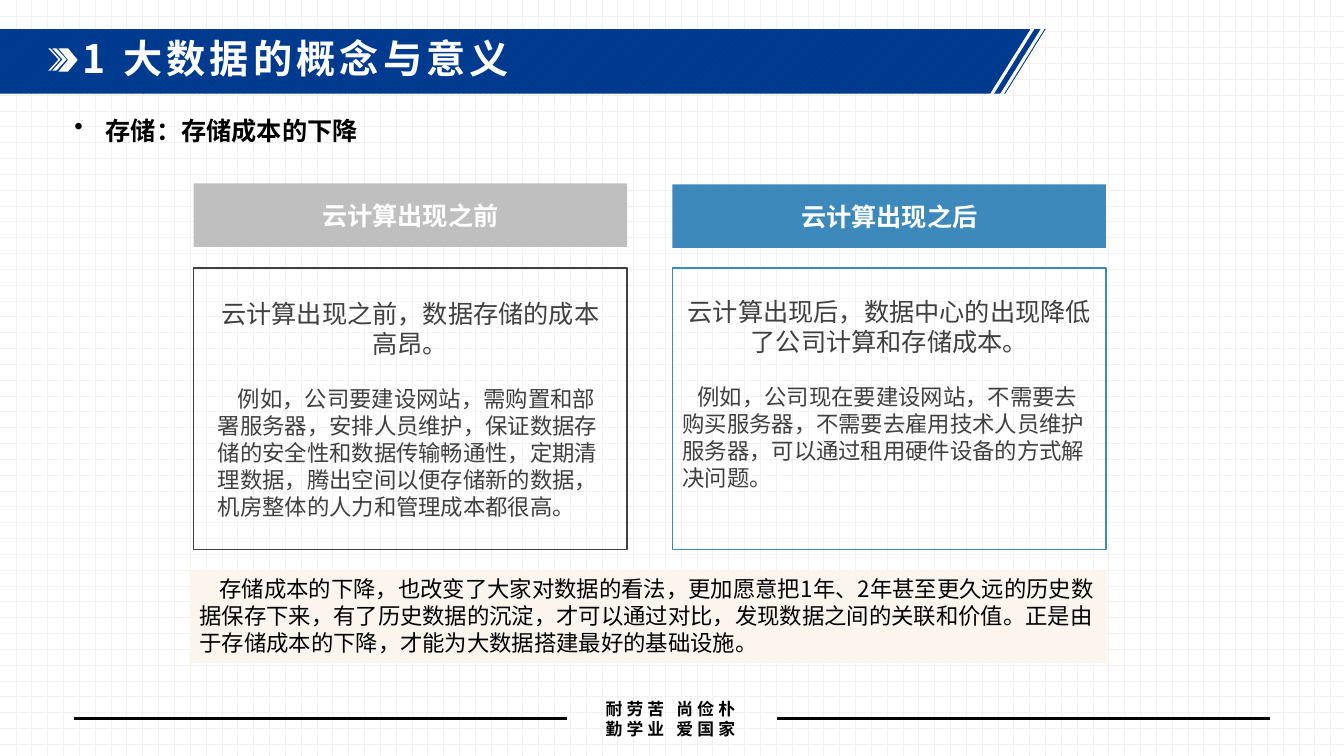
import dataclasses
import typing

import pptx
import pptx.dml.color
import pptx.enum.dml
import pptx.enum.shapes
import pptx.enum.text
import pptx.oxml
import pptx.oxml.ns
import pptx.util

Inches = pptx.util.Inches
Pt = pptx.util.Pt
Align = pptx.enum.text.PP_ALIGN
Anchor = pptx.enum.text.MSO_ANCHOR
Pattern = pptx.enum.dml.MSO_PATTERN
Kind = pptx.enum.shapes.MSO_SHAPE
Box = tuple[float, float, float, float]
Point = tuple[float, float]


@dataclasses.dataclass(frozen=True)
class Theme:
    font: str = "Noto Sans CJK SC"
    latin: str = "TeX Gyre Adventor"
    black: str = "000000"
    white: str = "FFFFFF"
    dark: str = "404040"
    gray: str = "BFBFBF"
    blue: str = "3D89BC"
    navy: str = "003A8F"
    stripe: str = "00449A"
    grid: str = "F2F2F2"
    cream: str = "FCF5ED"
    title: int = 28
    head: int = 18
    body: int = 16
    motto: int = 12


THEME = Theme()


@dataclasses.dataclass(frozen=True)
class Para:
    text: str
    size: int
    color: str
    bold: bool = False
    align: Align = Align.LEFT
    indent: float = 0
    before: int = 0
    track: int = 0
    bullet: bool = False
    latin: str = THEME.font


@dataclasses.dataclass(frozen=True)
class Card:
    left: float
    top: float
    fill: str
    line: str
    head: str
    lead: str
    detail: str
    side: float
    inset: float
    indent: float


CARDS = [
    Card(1.92, 1.82, THEME.gray, THEME.dark, "云计算出现之前",
         "云计算出现之前，数据存储的成本高昂。",
         "例如，公司要建设网站，需购置和部署服务器，安排人员维护，保证数据存储的安全性和数据传输畅通性，"
         "定期清理数据，腾出空间以便存储新的数据，机房整体的人力和管理成本都很高。", 0.24, 0.3, 0.2),
    Card(6.67, 1.83, THEME.blue, THEME.blue, "云计算出现之后",
         "云计算出现后，数据中心的出现降低了公司计算和存储成本。",
         "例如，公司现在要建设网站，不需要去购买服务器，不需要去雇用技术人员维护服务器，"
         "可以通过租用硬件设备的方式解决问题。", 0.1, 0.28, 0.15),
]


def rgb(color: str) -> pptx.dml.color.RGBColor:
    return pptx.dml.color.RGBColor.from_string(color)


def hatch(fill: typing.Any, kind: Pattern, fore: str, back: str) -> None:
    fill.patterned()
    fill.pattern = kind
    fill.fore_color.rgb = rgb(fore)
    fill.back_color.rgb = rgb(back)


def paint(shape: typing.Any, fill: str | None = None, line: str | None = None) -> None:
    shape.shadow.inherit = False
    if fill:
        shape.fill.solid()
        shape.fill.fore_color.rgb = rgb(fill)
    else:
        shape.fill.background()
    if line:
        shape.line.color.rgb = rgb(line)
        shape.line.width = Pt(1)
    else:
        shape.line.fill.background()


def write(shape: typing.Any, paras: list[Para], anchor: Anchor = Anchor.TOP,
          side: float = 0.1, top: float = 0.05, wrap: bool = True) -> None:
    frame = shape.text_frame
    frame.auto_size = pptx.enum.text.MSO_AUTO_SIZE.NONE
    frame.word_wrap = wrap
    frame.vertical_anchor = anchor
    frame.margin_left = frame.margin_right = Inches(side)
    frame.margin_top = Inches(top)
    frame.margin_bottom = Inches(0.05)
    frame.text = "\n".join(para.text for para in paras)
    for item, para in zip(frame.paragraphs, paras):
        item.alignment = para.align
        item.space_before = Pt(para.before)
        props = item._p.get_or_add_pPr()
        if para.indent:
            props.set("indent", str(Inches(para.indent)))
        if para.bullet:
            props.set("marL", str(Inches(-para.indent)))
            mark = pptx.oxml.parse_xml(
                f'<a:buChar {pptx.oxml.ns.nsdecls("a")} char="•"/>')
            props.append(mark)
        for run in item.runs:
            font = run.font
            font.size = Pt(para.size)
            font.bold = para.bold
            font.color.rgb = rgb(para.color)
            font.name = para.latin
            style = run._r.get_or_add_rPr()
            style.append(pptx.oxml.parse_xml(
                f'<a:ea {pptx.oxml.ns.nsdecls("a")} typeface="{THEME.font}"/>'))
            if para.track:
                style.set("spc", str(para.track * 100))


def block(slide: typing.Any, box: Box, fill: str | None = None,
          line: str | None = None, kind: Kind = Kind.RECTANGLE) -> typing.Any:
    shape = slide.shapes.add_shape(kind, *map(Inches, box))
    paint(shape, fill, line)
    return shape


def label(slide: typing.Any, box: Box) -> typing.Any:
    return slide.shapes.add_textbox(*map(Inches, box))


def trace(slide: typing.Any, loops: list[list[Point]]) -> typing.Any:
    loops = [[(Inches(x), Inches(y)) for x, y in loop] for loop in loops]
    pen = slide.shapes.build_freeform(*loops[0][0], scale=1.0)
    for loop in loops:
        if loop is not loops[0]:
            pen.move_to(*loop[0])
        pen.add_line_segments(loop[1:], close=True)
    return pen.convert_to_shape()


def banner(slide: typing.Any) -> None:
    top, base, slant = 0.29, 0.93, 0.4
    bands = [[(left, top), (right, top), (right - slant, base), (left - slant, base)]
             for left, right in ((10.36, 10.37), (10.26, 10.32))]
    bands.append([(0, top), (10.22, top), (9.82, base), (0, base)])
    shape = trace(slide, bands)
    paint(shape)
    hatch(shape.fill, Pattern.WIDE_UPWARD_DIAGONAL, THEME.stripe, THEME.navy)

    block(slide, (0.58, 0.48, 0.19, 0.23), THEME.white, kind=Kind.CHEVRON)
    for left, thick in ((0.52, 0.04), (0.48, 0.02)):
        tip = left + 0.1
        mark = trace(slide, [[(left, 0.48), (left + thick, 0.48), (tip + thick, 0.59),
                              (left + thick, 0.7), (left, 0.7), (tip, 0.59)]])
        paint(mark, THEME.white)


def footer(slide: typing.Any) -> None:
    motto = [Para(text, THEME.motto, THEME.black, True, Align.CENTER, track=3)
             for text in ("耐劳苦 尚俭朴", "勤学业 爱国家")]
    write(label(slide, (5.61, 6.88, 2.08, 0.5)), motto, Anchor.MIDDLE)
    for start, end in ((0.73, 5.62), (7.71, 12.6)):
        rule = slide.shapes.add_connector(
            pptx.enum.shapes.MSO_CONNECTOR.STRAIGHT,
            Inches(start), Inches(7.13), Inches(end), Inches(7.13))
        rule.line.color.rgb = rgb(THEME.black)
        rule.line.width = Pt(2)
        rule._element.spPr.append(pptx.oxml.parse_xml(
            f'<a:effectLst {pptx.oxml.ns.nsdecls("a")}/>'))


def heading(slide: typing.Any) -> None:
    title = slide.shapes.title
    slide.shapes._spTree.append(title._element)
    title.left, title.top, title.width, title.height = map(Inches, (0.72, 0.34, 8.31, 0.56))
    write(title, [Para("1 大数据的概念与意义", THEME.title, THEME.white, True, track=3)])
    title.text_frame.paragraphs[0].line_spacing = 0.9
    write(label(slide, (0.64, 1.09, 3.04, 0.4)),
          [Para("存储：存储成本的下降", THEME.head, THEME.black, True,
                indent=-0.31, bullet=True, latin=THEME.latin)], wrap=False)


def draw(slide: typing.Any, card: Card) -> None:
    head = block(slide, (card.left, card.top, 4.3, 0.63), card.fill)
    write(head, [Para(card.head, THEME.head, THEME.white, True, Align.CENTER)], Anchor.MIDDLE)
    body = block(slide, (card.left, 2.66, 4.3, 2.79), line=card.line)
    write(body, [Para(card.lead, THEME.head, THEME.dark, align=Align.CENTER),
                 Para(card.detail, THEME.body, THEME.dark, indent=card.indent, before=19)],
          side=card.side, top=card.inset)


def main() -> None:
    deck = pptx.Presentation()
    deck.slide_width, deck.slide_height = Inches(13.33), Inches(7.5)
    slide = deck.slides.add_slide(deck.slide_layouts[5])
    hatch(slide.background.fill, Pattern.DOTTED_GRID, THEME.grid, THEME.white)
    banner(slide)
    footer(slide)
    heading(slide)
    for card in CARDS:
        draw(slide, card)
    note = block(slide, (1.88, 5.66, 9.09, 0.92), THEME.cream)
    write(note, [Para(
        "存储成本的下降，也改变了大家对数据的看法，更加愿意把1年、2年甚至更久远的历史数据保存下来，"
        "有了历史数据的沉淀，才可以通过对比，发现数据之间的关联和价值。"
        "正是由于存储成本的下降，才能为大数据搭建最好的基础设施。",
        THEME.body, THEME.black, indent=0.2)])
    deck.save("out.pptx")


if __name__ == "__main__":
    main()
